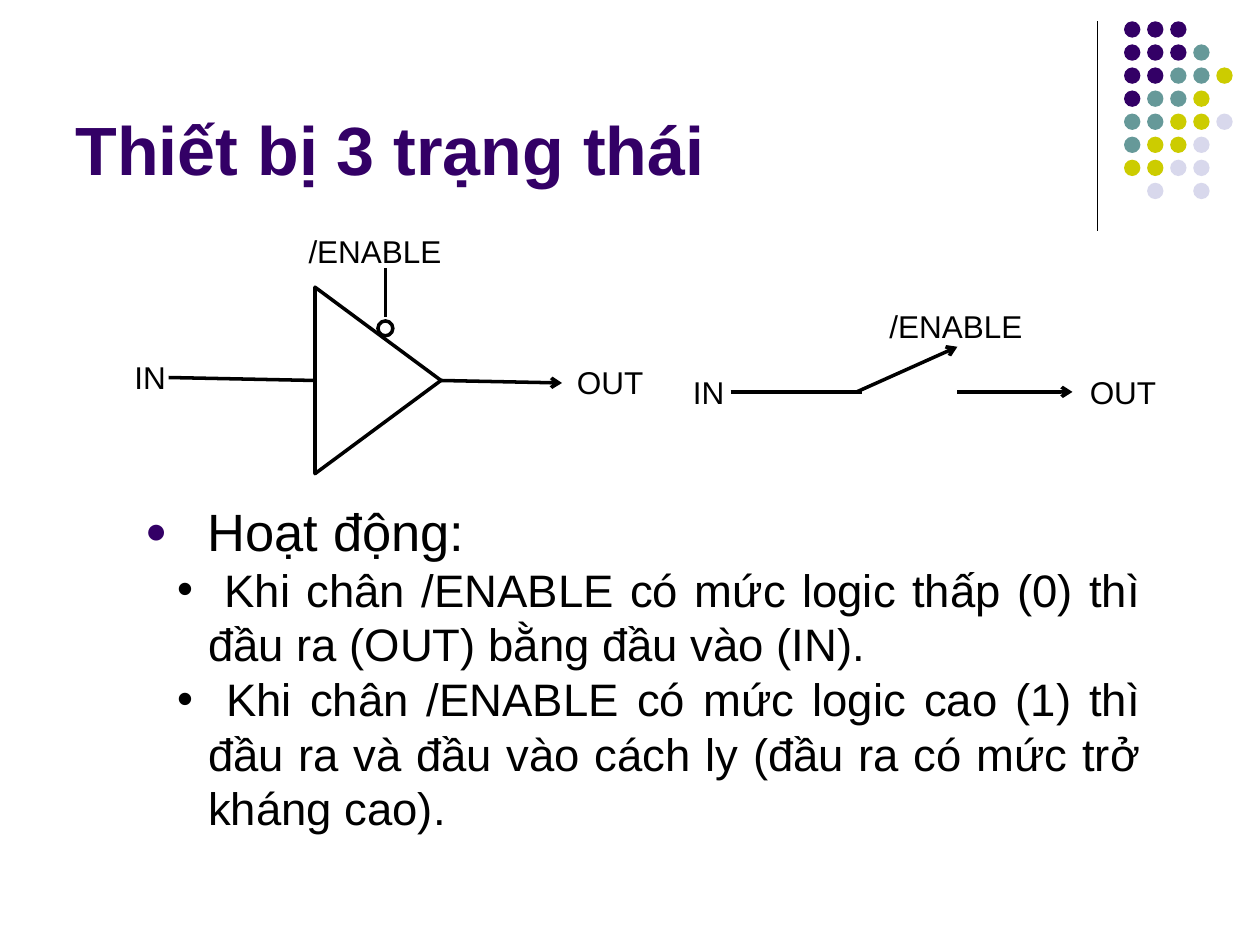
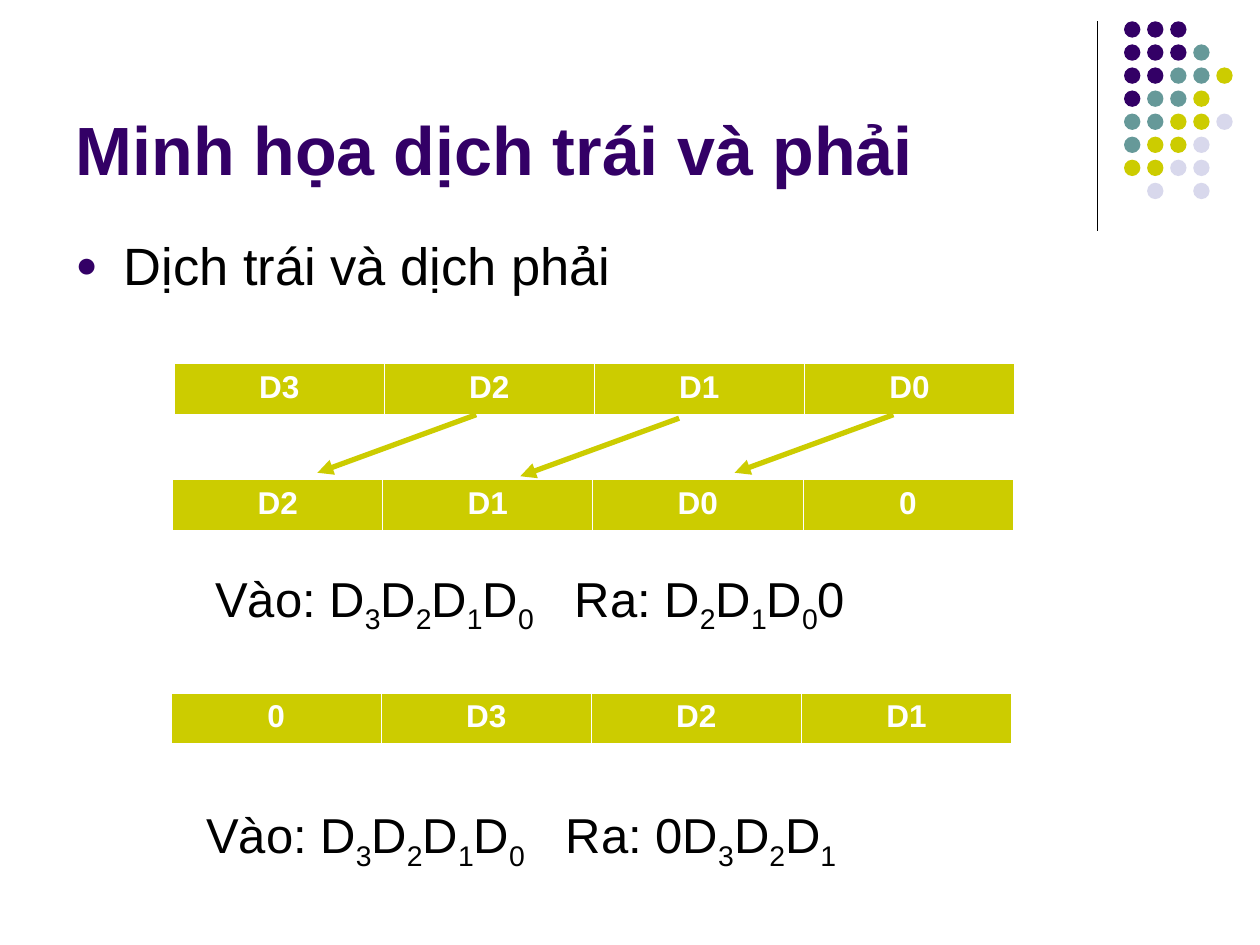
"""Build two slides on tri-state devices and bit shifts."""
from dataclasses import dataclass, field

from lxml.etree import SubElement
from pptx import Presentation
from pptx.dml.color import RGBColor
from pptx.enum.shapes import MSO_CONNECTOR, MSO_SHAPE
from pptx.enum.text import MSO_ANCHOR, MSO_AUTO_SIZE, PP_ALIGN
from pptx.oxml.ns import qn
from pptx.util import Cm, Pt


def make_type(size, bold=False):
    return dict(name="Arial", size=Pt(size), bold=bold)


@dataclass
class Theme:
    ink: str = "000000"
    paper: str = "FFFFFF"
    plum: str = "330066"
    teal: str = "669999"
    lime: str = "CCCC00"
    mist: str = "D8D8EC"
    title: dict = field(default_factory=lambda: make_type(39, True))
    lead: dict = field(default_factory=lambda: make_type(30))
    point: dict = field(default_factory=lambda: make_type(26))
    sum: dict = field(default_factory=lambda: make_type(28))
    label: dict = field(default_factory=lambda: make_type(18))
    head: dict = field(default_factory=lambda: make_type(18, True))


def put(item, values):
    for name, value in values.items():
        setattr(item, name, value)


def place(shape, box):
    put(shape, dict(zip(("left", "top", "width", "height"), map(Cm, box))))


def add_fill(parent, color):
    fill = SubElement(parent, qn("a:solidFill"))
    SubElement(fill, qn("a:srgbClr"), val=color)


class Deck:
    def __init__(self, theme):
        self.theme = theme
        self.show = Presentation()
        put(self.show, dict(slide_width=Cm(25.4), slide_height=Cm(19.05)))
        self.slide = None

    def begin(self, title):
        self.slide = self.show.slides.add_slide(self.show.slide_layouts[1])
        shape = self.slide.shapes.title
        place(shape, (1.27, 0.33, 20.96, 3.61))
        put(shape.text_frame, dict(vertical_anchor=MSO_ANCHOR.BOTTOM, word_wrap=True,
                                   auto_size=MSO_AUTO_SIZE.NONE))
        para = shape.text_frame.paragraphs[0]
        para.alignment = PP_ALIGN.LEFT
        self.say(para, title, self.theme.title, self.theme.plum)

    def say(self, para, text, style, color=None):
        run = para.add_run()
        run.text = text
        put(run.font, style)
        run.font.color.rgb = RGBColor.from_string(color or self.theme.ink)
        return run

    def list(self, box, lead, points=()):
        shape = self.slide.placeholders[1]
        place(shape, box)
        frame = shape.text_frame
        put(frame, dict(word_wrap=True, auto_size=MSO_AUTO_SIZE.NONE))
        para = frame.paragraphs[0]
        self.say(para, lead, self.theme.lead)
        para.space_before = Pt(7.5)
        self.mark(para, "●", 0.97, 0.97, self.theme.plum, 70)
        for text in points:
            para = frame.add_paragraph()
            put(para, dict(level=1, alignment=PP_ALIGN.JUSTIFY, space_before=Pt(0)))
            self.say(para, text, self.theme.point)
            self.mark(para, "•", 1.27, 0.61, self.theme.ink, 100)

    def mark(self, para, sign, left, hang, color, scale):
        props = para._p.get_or_add_pPr()
        props.set("marL", str(Cm(left)))
        props.set("indent", str(-Cm(hang)))
        tint = SubElement(props, qn("a:buClr"))
        SubElement(tint, qn("a:srgbClr"), val=color)
        SubElement(props, qn("a:buSzPct"), val=str(scale * 1000))
        SubElement(props, qn("a:buFont"), typeface="Arial")
        SubElement(props, qn("a:buChar"), char=sign)

    def text(self, box):
        frame = self.slide.shapes.add_textbox(*map(Cm, box)).text_frame
        frame.word_wrap = True
        return frame.paragraphs[0]

    def label(self, text, left, top, width=2.13):
        self.say(self.text((left, top, width, 1.02)), text, self.theme.label)

    def sum(self, left, top, text):
        para = self.text((left, top, 16, 1.6))
        tabs = SubElement(para._p.get_or_add_pPr(), qn("a:tabLst"))
        SubElement(tabs, qn("a:tab"), pos=str(Cm(7.25)), algn="l")
        first, *rest = text.split("_")
        self.say(para, first, self.theme.sum)
        for part in rest:
            low = self.say(para, part[0], self.theme.sum)
            low._r.get_or_add_rPr().set("baseline", "-25000")
            if part[1:]:
                self.say(para, part[1:], self.theme.sum)

    def line(self, start, end, width=2, color=None, tip=None):
        link = self.slide.shapes.add_connector(
            MSO_CONNECTOR.STRAIGHT, *map(Cm, (*start, *end)))
        link.line.width = Pt(width)
        link.line.color.rgb = RGBColor.from_string(color or self.theme.ink)
        props = link._element.spPr
        if tip:
            SubElement(props.find(qn("a:ln")), qn("a:tailEnd"), type=tip)
        SubElement(props, qn("a:effectLst"))
        return link

    def shape(self, kind, box, fill=None, turn=0, home=None):
        shape = (home or self.slide).shapes.add_shape(kind, *map(Cm, box))
        shape.shadow.inherit = False
        shape.rotation = turn
        if fill:
            shape.fill.solid()
            shape.fill.fore_color.rgb = RGBColor.from_string(fill)
            shape.line.fill.background()
        else:
            shape.fill.background()
            shape.line.width = Pt(2)
            shape.line.color.rgb = RGBColor.from_string(self.theme.ink)

    def dress(self):
        theme = self.theme
        tints = dict(p=theme.plum, t=theme.teal, y=theme.lime, l=theme.mist)
        rows = ("ppp", "pppt", "pptty", "ptty", "ttyyl", "tyyl", "yyll", ".l.l")
        rule = self.line((22.12, 0.43), (22.12, 4.65), 0.75)
        group = self.slide.shapes.add_group_shape()
        for row, signs in enumerate(rows):
            for col, sign in enumerate(signs):
                if sign in tints:
                    box = (22.66 + 0.93 * col / 2, 0.43 + 0.93 * row / 2, 0.33, 0.33)
                    self.shape(MSO_SHAPE.OVAL, box, tints[sign], home=group)
        for item in (rule, group):
            self.show.slide_master.shapes.element.append(item._element)

    def table(self, left, top, words):
        box = map(Cm, (left, top, 16.94, 1.02))
        grid = self.slide.shapes.add_table(1, len(words), *box).table
        for cell, word in zip(grid.rows[0].cells, words):
            para = cell.text_frame.paragraphs[0]
            para.alignment = PP_ALIGN.CENTER
            self.say(para, word, self.theme.head, self.theme.paper)
            props = cell._tc.get_or_add_tcPr()
            for side in "LRTB":
                edge = SubElement(props, qn(f"a:ln{side}"), w=str(Pt(0.45)))
                add_fill(edge, self.theme.paper)
            add_fill(props, self.theme.lime)


def draw_gate(deck):
    deck.begin("Thiết bị 3 trạng thái")
    deck.dress()
    deck.shape(MSO_SHAPE.ISOSCELES_TRIANGLE, (5.74, 6.4, 3.76, 2.54), turn=90)
    deck.shape(MSO_SHAPE.OVAL, (7.62, 6.47, 0.3, 0.3))
    deck.line((3.4, 7.61), (6.35, 7.67))
    deck.line((8.89, 7.67), (11.33, 7.72), tip="arrow")
    deck.line((7.77, 5.41), (7.77, 6.4))
    deck.line((14.73, 7.9), (17.37, 7.9))
    deck.line((19.3, 7.9), (21.62, 7.9), tip="arrow")
    deck.line((17.27, 7.9), (19.3, 6.99), tip="arrow")
    deck.label("/ENABLE", 5.97, 4.55, 4.57)
    deck.label("IN", 2.46, 7.09)
    deck.label("OUT", 11.38, 7.19)
    deck.label("/ENABLE", 17.68, 6.07, 3.45)
    deck.label("IN", 13.72, 7.39)
    deck.label("OUT", 21.72, 7.39)
    deck.list((2.67, 9.93, 20.6, 7.04), " Hoạt động:", (
        " Khi chân /ENABLE có mức logic thấp (0) thì đầu ra (OUT) bằng đầu vào (IN).",
        " Khi chân /ENABLE có mức logic cao (1) thì đầu ra và đầu vào cách ly "
        "(đầu ra có mức trở kháng cao)."))


def draw_shift(deck):
    deck.begin("Minh họa dịch trái và phải")
    deck.list((1.27, 4.57, 22.86, 12.24), "Dịch trái và dịch phải")
    deck.table(3.51, 7.33, ("D3", "D2", "D1", "D0"))
    deck.table(3.48, 9.67, ("D2", "D1", "D0", "0"))
    deck.sum(4.09, 11.33, "Vào: D_3D_2D_1D_0\tRa: D_2D_1D_00")
    deck.table(3.45, 13.97, ("0", "D3", "D2", "D1"))
    deck.sum(3.91, 16.1, "Vào: D_3D_2D_1D_0\tRa: 0D_3D_2D_1")
    for left, top in ((18.01, 8.36), (9.6, 8.36), (13.69, 8.43)):
        deck.line((left, top), (left - 3.2, top + 1.17), 3, deck.theme.lime, "triangle")


def main():
    deck = Deck(Theme())
    draw_gate(deck)
    draw_shift(deck)
    deck.show.save("out.pptx")


if __name__ == "__main__":
    main()
